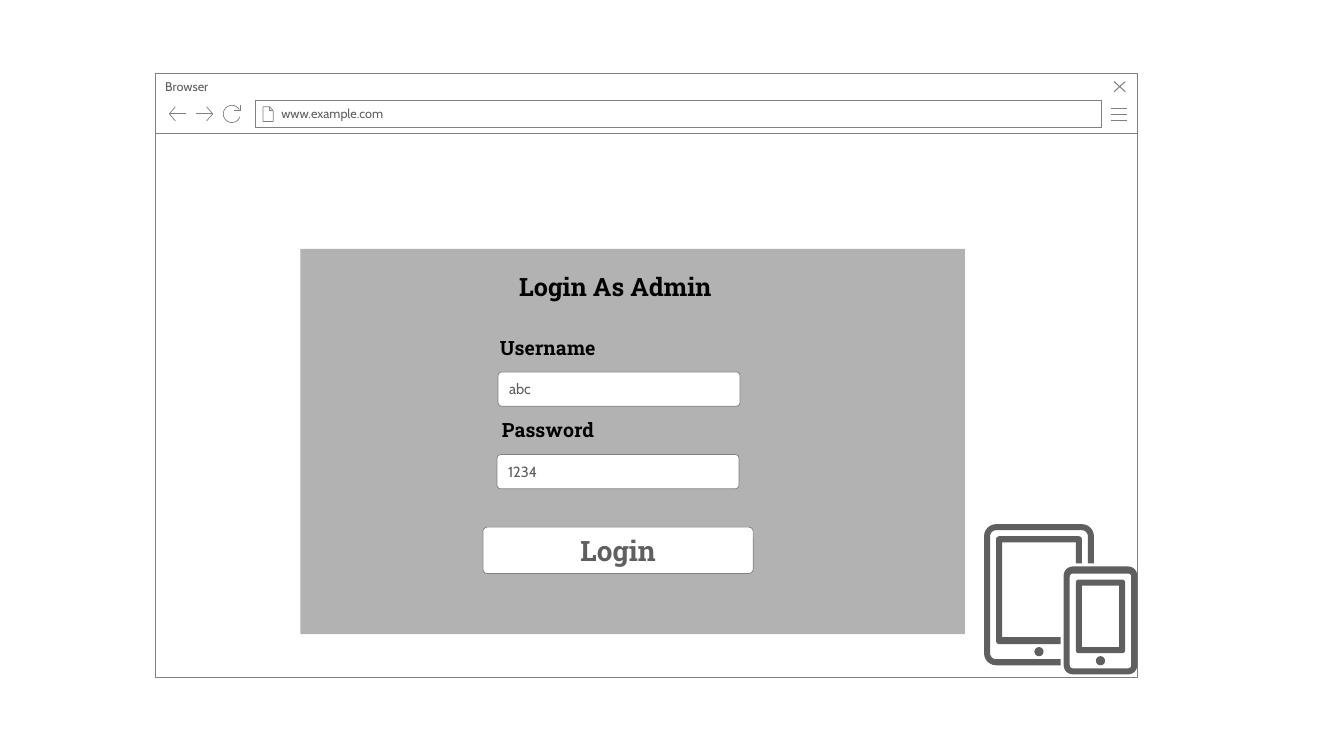
from math import cos, hypot, pi, sin

from lxml import etree
from pptx import Presentation
from pptx.dml.color import RGBColor
from pptx.enum.shapes import MSO_SHAPE
from pptx.enum.text import MSO_ANCHOR, MSO_AUTO_SIZE, PP_ALIGN
from pptx.oxml.ns import qn
from pptx.util import Inches, Pt

RECTANGLE, ROUNDED = MSO_SHAPE.RECTANGLE, MSO_SHAPE.ROUNDED_RECTANGLE
TOP, MIDDLE = MSO_ANCHOR.TOP, MSO_ANCHOR.MIDDLE
LEFT, CENTER = PP_ALIGN.LEFT, PP_ALIGN.CENTER
GROW = MSO_AUTO_SIZE.SHAPE_TO_FIT_TEXT

WHITE = RGBColor(0xFF, 0xFF, 0xFF)
BLACK = RGBColor(0, 0, 0)
GRAY = RGBColor(0x80, 0x80, 0x80)
INK = RGBColor(0x5F, 0x5F, 0x5F)

CELL = Inches(0.1)  # side of one square grid cell
BROWSER_FONT = {"name": "Cabin", "size": Pt(9)}
FIELD_FONT = {"name": "Cabin", "size": Pt(10.5)}
LABEL_FONT = {"name": "Roboto Slab", "size": Pt(14), "bold": True}
TITLE_FONT = {**LABEL_FONT, "size": Pt(18)}
BUTTON_FONT = {**LABEL_FONT, "size": Pt(20)}


def cells(*lengths):
    return [round(length * CELL) for length in lengths]


def rounded_outline(corners, steps=6):
    """Turn right-angled (column, row, radius) corners into outline points."""
    outline = []
    for index, (x, y, radius) in enumerate(corners):
        if not radius:
            outline.append((x, y))
            continue
        tangents = []
        for near_x, near_y, _ in (corners[index - 1], corners[(index + 1) % len(corners)]):
            share = radius / hypot(near_x - x, near_y - y)
            tangents.append((x + (near_x - x) * share, y + (near_y - y) * share))
        (ax, ay), (bx, by) = tangents
        center_x, center_y = ax + bx - x, ay + by - y
        for step in range(steps + 1):
            c, s = cos(pi / 2 * step / steps), sin(pi / 2 * step / steps)
            outline.append((center_x + (ax - center_x) * c + (bx - center_x) * s,
                            center_y + (ay - center_y) * c + (by - center_y) * s))
    return outline


def rounded_box(left, top, right, bottom, radius=0):
    return rounded_outline([(left, top, radius), (right, top, radius),
                            (right, bottom, radius), (left, bottom, radius)])


class Wireframe:
    """Draws on the current shape collection; all lengths are grid cells."""

    def __init__(self, slide):
        self.slide = slide
        self.shapes = slide.shapes

    def start_group(self):
        self.shapes = self.slide.shapes.add_group_shape().shapes

    def end_group(self):
        self.shapes = self.slide.shapes

    def style(self, shape, fill, line, line_width=0.5):
        shape.shadow.inherit = False
        if fill is None:
            shape.fill.background()
        else:
            shape.fill.solid()
            shape.fill.fore_color.rgb = fill
        if line is None:
            shape.line.fill.background()
        else:
            shape.line.color.rgb = line
            shape.line.width = Pt(line_width)

    def box(self, place, kind=RECTANGLE, fill=WHITE, line=GRAY, radius=0):
        shape = self.shapes.add_shape(kind, *cells(*place))
        if kind == ROUNDED:
            shape.adjustments[0] = radius
        self.style(shape, fill, line)
        return shape

    def set_text(self, shape, text, font, color=INK, align=LEFT, insets=(1, 0.5, 1, 0.5), **frame_format):
        frame = shape.text_frame
        margins = zip(("margin_left", "margin_top", "margin_right", "margin_bottom"), cells(*insets))
        values = {"word_wrap": True, "vertical_anchor": TOP, **dict(margins), **frame_format}
        for name, value in values.items():
            setattr(frame, name, value)
        paragraph = frame.paragraphs[0]
        paragraph.alignment = align
        run = paragraph.add_run()
        run.text = text
        for name, value in font.items():
            setattr(run.font, name, value)
        run.font.color.rgb = color

    def label(self, place, text, font):
        shape = self.shapes.add_textbox(*cells(*place))
        self.set_text(shape, text, font, BLACK, word_wrap=False, auto_size=GROW)

    def outline(self, strokes, fill=None, line=GRAY, line_width=0.5, closed=False):
        """Draw several strokes as one freeform."""
        strokes = [[cells(*point) for point in stroke] for stroke in strokes]
        builder = self.shapes.build_freeform(*strokes[0][0], scale=1.0)
        for index, (start, *rest) in enumerate(strokes):
            if index:
                builder.move_to(*start)
            builder.add_line_segments(rest, close=closed)
        self.style(builder.convert_to_shape(), fill, line, line_width)


def draw_browser(wireframe):
    wireframe.start_group()
    wireframe.box((15.4, 13.2, 97.4, 54))
    title_bar = wireframe.box((15.4, 7.3, 97.4, 5.9))
    wireframe.set_text(title_bar, "Browser", BROWSER_FONT, insets=(1, 0.5, 2.5, 0.5))
    wireframe.outline([[(110.2, row), (111.8, row)] for row in (11.9, 11.3, 10.7)])
    wireframe.outline([[(111.6, 8.1), (110.5, 9.1)], [(110.5, 8.1), (111.6, 9.1)]], line_width=0.75)
    address = wireframe.box((25.3, 10, 83.9, 2.6))
    wireframe.set_text(address, "www.example.com", BROWSER_FONT, insets=(2.6, 0.5, 1, 0.5),
                       vertical_anchor=MIDDLE)
    wireframe.outline([
        [(26.7, 10.6), (26.7, 11), (27.1, 11)],
        [(26.1, 10.6), (26.1, 12.05), (27.1, 12.05), (27.1, 11), (26.75, 10.6), (26.1, 10.6)],
    ])
    for tip, tail, barb in ((16.8, 18.5, 17.4), (21.1, 19.4, 20.5)):
        wireframe.outline([[(barb, 10.6), (tip, 11.3), (barb, 12)], [(tip, 11.3), (tail, 11.3)]])
    angles = [pi / 180 * degrees for degrees in range(20, 331, 10)]
    wireframe.outline([
        [(23.8, 10.4), (23.8, 10.9), (23.2, 10.9)],
        [(23 + 0.85 * cos(angle), 11.3 + 0.85 * sin(angle)) for angle in angles],
    ])
    wireframe.end_group()


def draw_devices(wireframe):
    tablet_frame = rounded_outline([
        (97.6, 52, 1.2), (108.5, 52, 1.2), (108.5, 55.9, 0), (107.9, 55.9, 0), (107.9, 52.6, 0.6),
        (98.2, 52.6, 0.6), (98.2, 65.4, 0.6), (105.2, 65.4, 0), (105.2, 66, 0), (97.6, 66, 1.2)])
    tablet_screen = rounded_outline([
        (98.8, 53.2, 0.3), (107.3, 53.2, 0.3), (107.3, 55.9, 0), (106.7, 55.9, 0), (106.7, 53.8, 0),
        (99.4, 53.8, 0), (99.4, 63.2, 0), (105.2, 63.2, 0), (105.2, 63.9, 0), (98.8, 63.9, 0.3)])
    phone = [
        rounded_box(105.5, 56.2, 112.8, 66.9, 0.9),
        rounded_box(106.1, 56.9, 112.2, 66.3, 0.3),
        rounded_box(106.7, 57.5, 111.6, 64.8, 0.3),
        rounded_box(107.3, 58.1, 111, 64.2),
    ]
    buttons = [rounded_box(left, top, left + 0.9, top + 0.9, 0.45)
               for left, top in ((102.6, 64.2), (108.7, 65.1))]
    wireframe.outline([tablet_frame, tablet_screen, *phone, *buttons], fill=INK, line=None, closed=True)


def draw_login_form(wireframe):
    panel = wireframe.box((29.8, 24.7, 65.9, 38.2), fill=GRAY, line=None)
    color = panel._element.spPr.find(qn("a:solidFill")).find(qn("a:srgbClr"))
    etree.SubElement(color, qn("a:alpha"), val="60000")
    button = wireframe.box((47.9, 52.3, 26.8, 4.6), ROUNDED, radius=0.09)
    wireframe.set_text(button, "Login", BUTTON_FONT, align=CENTER, vertical_anchor=MIDDLE, auto_size=GROW)
    fields = (("Username", 48.6, 11.9, "abc", 49.4), ("Password", 48.8, 11.2, "1234", 49.3))
    for index, (name, name_left, name_width, entry, entry_left) in enumerate(fields):
        shift = 8.2 * index
        wireframe.label((name_left, 32.8 + shift, name_width, 3.4), name, LABEL_FONT)
        field = wireframe.box((entry_left, 36.9 + shift, 24, 3.4), ROUNDED, radius=0.11)
        wireframe.set_text(field, entry, FIELD_FONT, insets=(1, 0.7, 1, 0.7),
                           vertical_anchor=MIDDLE, auto_size=GROW)
    wireframe.label((50.5, 26.4, 21.8, 4), "Login As Admin", TITLE_FONT)


def main():
    presentation = Presentation()
    presentation.slide_width, presentation.slide_height = Inches(13.33), Inches(7.5)
    wireframe = Wireframe(presentation.slides.add_slide(presentation.slide_layouts[6]))
    draw_browser(wireframe)
    draw_devices(wireframe)
    draw_login_form(wireframe)
    presentation.save("out.pptx")


if __name__ == "__main__":
    main()
